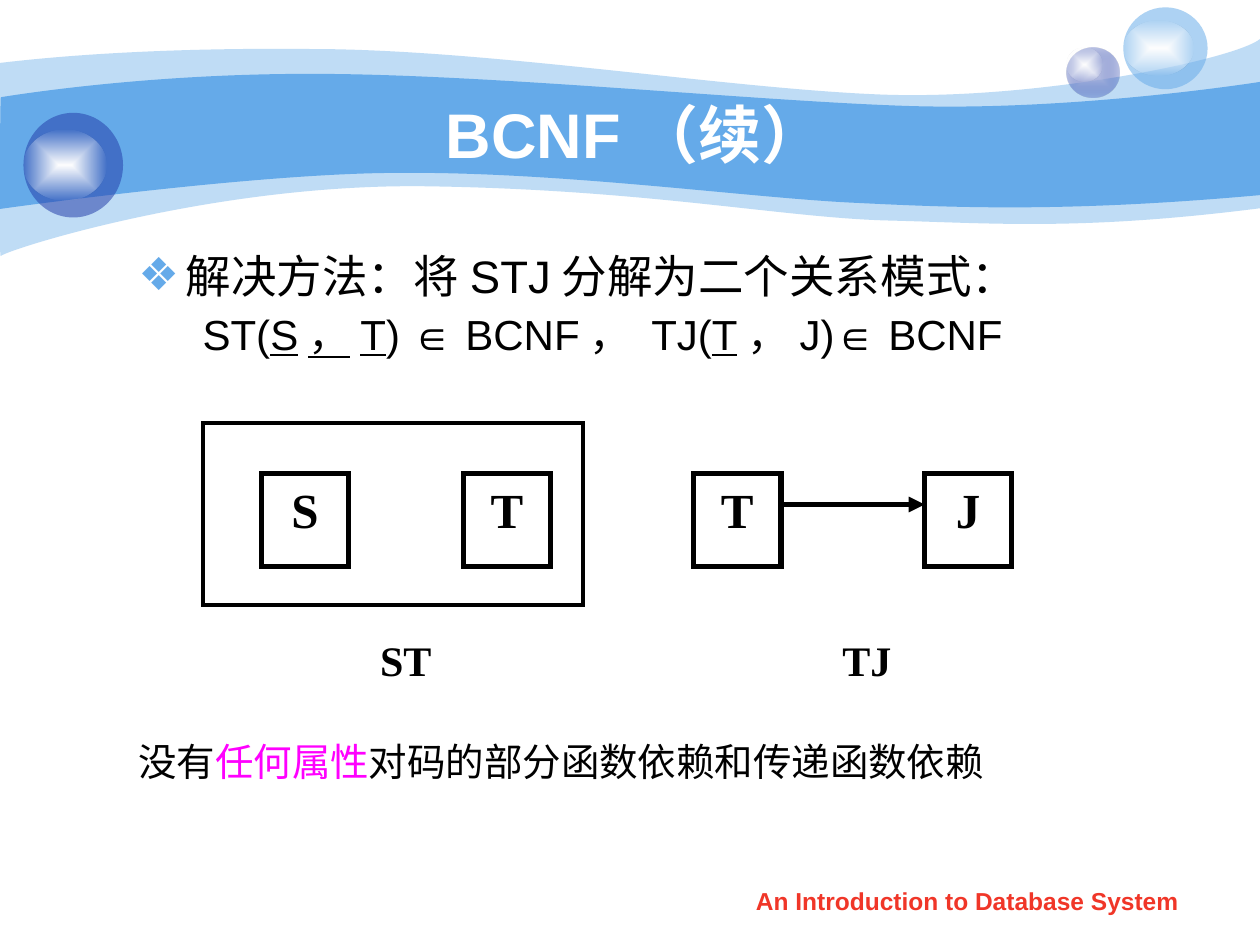
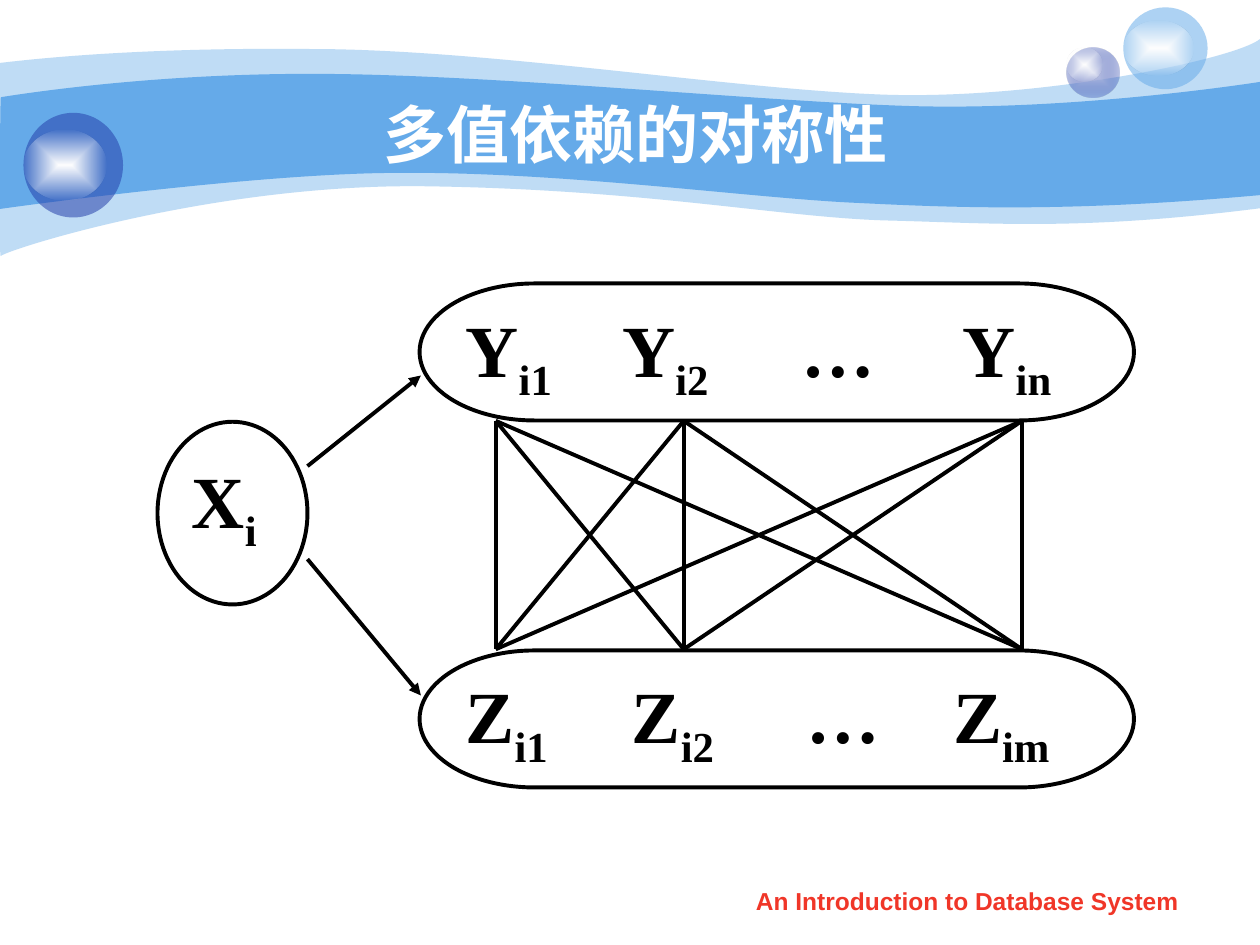
"""Build two database slides on BCNF and multivalued dependency."""
from dataclasses import dataclass
from itertools import product

from lxml import etree
from pptx import Presentation
from pptx import util as u
from pptx.dml.color import RGBColor
from pptx.enum import shapes, text
from pptx.oxml.ns import qn

Kind = shapes.MSO_SHAPE
Align = text.PP_ALIGN
Pt = u.Pt


@dataclass(frozen=True)
class Theme:
    """Hold the colours, fonts and type sizes of the deck."""
    sky: str = "65AAE9"
    navy: str = "233DA9"
    mist: str = "C6CCE8"
    white: str = "FFFFFF"
    ink: str = "000000"
    pink: str = "FF00FF"
    red: str = "F03628"
    sans: str = "Arial"
    serif: str = "Times New Roman"
    head: int = 36
    lead: int = 26
    body: int = 24
    note: int = 22
    node: int = 28
    big: int = 42
    foot: int = 14
    thin: float = 2.25
    thick: float = 3


T = Theme()
SHINE = [(T.white, 100), (T.white, 0)]
BACK = [(-0.4, 36), (17, 34, 77, 27, 177.5, 28), (278, 28, 414, 50.5, 503, 54),
        (592, 57.5, 705.5, 34, 720, 22.3), (720, 119),
        (618, 132, 567, 127.5, 507.5, 126), (448, 124.5, 371, 108.5, 247, 106.5),
        (124, 104, 3, 143, 0.5, 146.3), (-0.7, 150, -0.4, 54, -0.4, 36)]
FRONT = [(0.5, 55.5), (1.5, 55.5, 79, 42, 178.5, 42.2),
         (278, 42.2, 428.5, 57.5, 517, 60.5), (605.5, 63.5, 702.5, 49.5, 720, 46.8),
         (720, 111.5), (614, 121, 551, 119, 491, 116),
         (431, 113.5, 322, 98, 228, 98.8), (146, 98.8, -1.4, 119.5, -0.7, 119.5),
         (0, 119.5, 0, 55.5, 0.5, 55.5)]
BALLS = [((609.6, 27.2, 30.2, 28.8), [(T.mist, 100), (T.navy, 31)],
          (609.6, 27.2, 20.2, 19.4)),
         ((641.9, 4.2, 48.2, 46.8), (T.sky, 53), (641.9, 12.1, 40.3, 31)),
         ((13.4, 64.5, 56.9, 59.8), (T.navy, 53), (13.4, 74.2, 47.5, 40.3))]


def sub(root, tag, **attrs):
    """Add a drawing element to root and return it."""
    return etree.SubElement(root, qn("a:" + tag), attrs)


def tint(root, hue, alpha):
    """Add a colour with an opacity in percent."""
    sub(sub(root, "srgbClr", val=hue), "alpha", val=str(alpha * 1000))


def paint(shape, fill=None, line=None, wide=T.thin):
    """Set fill and line; a tuple is translucent, a list a gradient."""
    shape.shadow.inherit = False
    if isinstance(fill, str):
        shape.fill.solid()
        shape.fill.fore_color.rgb = RGBColor.from_string(fill)
    else:
        shape.fill.background()
    if isinstance(fill, (tuple, list)):
        old = shape.element.spPr.find(qn("a:noFill"))
        flat = isinstance(fill, tuple)
        new = etree.Element(qn("a:solidFill" if flat else "a:gradFill"))
        if flat:
            tint(new, *fill)
        else:
            stops = sub(new, "gsLst")
            for pos, stop in zip(("0", "100000"), fill):
                tint(sub(stops, "gs", pos=pos), *stop)
            sub(sub(new, "path", path="rect"), "fillToRect",
                **dict.fromkeys("ltrb", "50000"))
        old.getparent().replace(old, new)
    if line:
        shape.line.color.rgb = RGBColor.from_string(line)
        shape.line.width = Pt(wide)
        sub(shape.line._get_or_add_ln(), "miter", lim="800000")
    else:
        shape.line.fill.background()
    return shape


def frame(shape, top=3.6, anchor=text.MSO_ANCHOR.TOP):
    """Set the margins and wrapping of a shape and return its text frame."""
    tf = shape.text_frame
    tf.word_wrap, tf.auto_size = True, text.MSO_AUTO_SIZE.NONE
    tf.margin_left = tf.margin_right = Pt(7.2)
    tf.margin_top, tf.margin_bottom = Pt(top), Pt(3.6)
    tf.vertical_anchor = anchor
    return tf


def say(tf, *runs, size=T.body, font=T.sans, hue=T.ink, bold=False,
        align=Align.LEFT, lines=1.0, before=0, left=0, first=0, mark=None, tabs=()):
    """Write one paragraph; a run is a string or a (string, changes) pair."""
    par = tf.paragraphs[0] if not tf.text else tf.add_paragraph()
    prop = par._p.get_or_add_pPr()
    if left:
        prop.set("marL", str(Pt(left)))
        prop.set("indent", str(Pt(first)))
    if mark:
        sub(sub(prop, "buClr"), "srgbClr", val=T.sky)
        sub(prop, "buFont", typeface=font)
        sub(prop, "buChar", char=mark)
    if tabs:
        stops = sub(prop, "tabLst")
        for tab in tabs:
            sub(stops, "tab", pos=str(Pt(tab)), algn="l")
    par.alignment, par.line_spacing = align, lines
    if before:
        par.space_before = Pt(before)
    for item in runs:
        words, change = (item, {}) if isinstance(item, str) else item
        run = par.add_run()
        run.text = words
        run.font.size, run.font.name, run.font.bold = Pt(size), font, bold
        run.font.underline = change.get("line", False)
        run.font.color.rgb = RGBColor.from_string(change.get("hue", hue))
        attrs = run._r.get_or_add_rPr()
        attrs.set("lang", "zh-CN")
        if "base" in change:
            attrs.set("baseline", str(change["base"] * 1000))


def shape(slide, kind, spot, **look):
    """Add a painted preset shape."""
    return paint(slide.shapes.add_shape(kind, *map(Pt, spot)), **look)


def label(slide, spot, *runs, **form):
    """Add a text box with one paragraph and return its frame."""
    tf = frame(slide.shapes.add_textbox(*map(Pt, spot)))
    say(tf, *runs, **form)
    return tf


def link(slide, *ends, wide=T.thin, arrow=False):
    """Draw a straight line, with an arrowhead if asked."""
    line = slide.shapes.add_connector(shapes.MSO_CONNECTOR.STRAIGHT, *map(Pt, ends))
    line.line.color.rgb = RGBColor.from_string(T.ink)
    line.line.width = Pt(wide)
    if arrow:
        sub(line.line._get_or_add_ln(), "tailEnd", type="triangle")
    sub(line._element.spPr, "effectLst")


def wave(slide, parts, fill):
    """Draw a band of lines (2 numbers) and cubic curves (6 numbers)."""
    start, *rest = parts
    spots = [(Pt(x), Pt(y)) for part in rest for x, y in zip(part[::2], part[1::2])]
    form = slide.shapes.build_freeform(*map(Pt, start))
    form.add_line_segments(spots, close=True)
    band = paint(form.convert_to_shape(), fill)
    moves = iter(list(band.element.iter(qn("a:lnTo"))))
    for part in rest:
        curve = next(moves)
        if len(part) == 6:
            curve.tag = qn("a:cubicBezTo")
            for step in (next(moves), next(moves)):
                curve.append(step[0])
                step.getparent().remove(step)


def page(deck, name):
    """Add a slide with waves, balls, title and footer."""
    slide = deck.slides.add_slide(deck.slide_layouts[5])
    wave(slide, BACK, (T.sky, 41))
    wave(slide, FRONT, T.sky)
    for ball, fill, shine in BALLS:
        shape(slide, Kind.OVAL, ball, fill=fill)
        shape(slide, Kind.OVAL, shine, fill=SHINE)
    title = slide.shapes.title
    title.left, title.top, title.width, title.height = map(Pt, (72, 54, 582, 44.6))
    slide.shapes._spTree.append(title._element)
    say(frame(title, anchor=text.MSO_ANCHOR.MIDDLE), name, size=T.head,
        hue=T.white, bold=True, align=Align.CENTER)
    label(slide, (411, 502.5, 283.7, 25.2), "An Introduction to Database System",
          size=T.foot, hue=T.red, bold=True, align=Align.CENTER)
    return slide


def split(deck):
    """Show STJ split into two relations."""
    slide = page(deck, "BCNF（续）")
    under = {"line": True}
    tf = label(slide, (72, 144, 612, 80), "解决方法：将STJ分解为二个关系模式：",
               size=T.lead, lines=0.8, left=27, first=-27, mark="❖")
    say(tf, "ST(", ("S，T", under), ") ∈ BCNF， TJ(", ("T", under), "，J)∈ BCNF",
        lines=0.8, before=9.4, left=36.7)
    bold = dict(font=T.serif, bold=True, align=Align.CENTER)
    for name, left in zip("STTJ", (149.4, 264.8, 396.4, 528.2)):
        node = shape(slide, Kind.RECTANGLE, (left, 270.5, 49.9, 53.2),
                     line=T.ink, wide=T.thick)
        say(frame(node), name, size=T.node, **bold)
    link(slide, 446, 288.3, 528.3, 288.3, wide=T.thick, arrow=True)
    shape(slide, Kind.RECTANGLE, (116, 241.7, 217, 104.2), line=T.ink)
    for name, left in (("ST", 199.1), ("TJ", 462.6)):
        label(slide, (left, 359.3, 65.5, 53.3), name, **bold)
    label(slide, (72, 418, 612, 42), "没有", ("任何属性", {"hue": T.pink}),
          "对码的部分函数依赖和传递函数依赖", size=T.note)


def mirror(deck):
    """Show the symmetry of multivalued dependency."""
    slide = page(deck, "多值依赖的对称性")
    low = {"base": -25}
    bold = dict(font=T.serif, bold=True, size=T.big)
    look = dict(fill=T.white, line=T.ink)
    oval = shape(slide, Kind.OVAL, (90, 241, 85.7, 104.4), **look)
    say(frame(oval), "X", ("i", low), **bold)
    for name, last, top, tabs in (("Z", "im", 371.7, (95, 195, 278.5)),
                                  ("Y", "in", 162, (89.5, 192, 284))):
        pill = shape(slide, Kind.FLOWCHART_TERMINATOR, (239.8, top, 408.2, 78.3), **look)
        say(frame(pill, top=0), name, ("i1", low), "\t" + name, ("i2", low),
            "\t…\t" + name, (last, low), tabs=tabs, **bold)
    for start, end in ((266.4, 214.6), (319.5, 397.4)):
        link(slide, 175.7, start, 240.5, end, arrow=True)
    for above, below in product((283.3, 390.7, 584), repeat=2):
        link(slide, above, 240.5, below, 371)


def main():
    """Build and save the deck."""
    deck = Presentation()
    deck.slide_width, deck.slide_height = Pt(720), Pt(540)
    split(deck)
    mirror(deck)
    deck.save("out.pptx")


if __name__ == "__main__":
    main()
